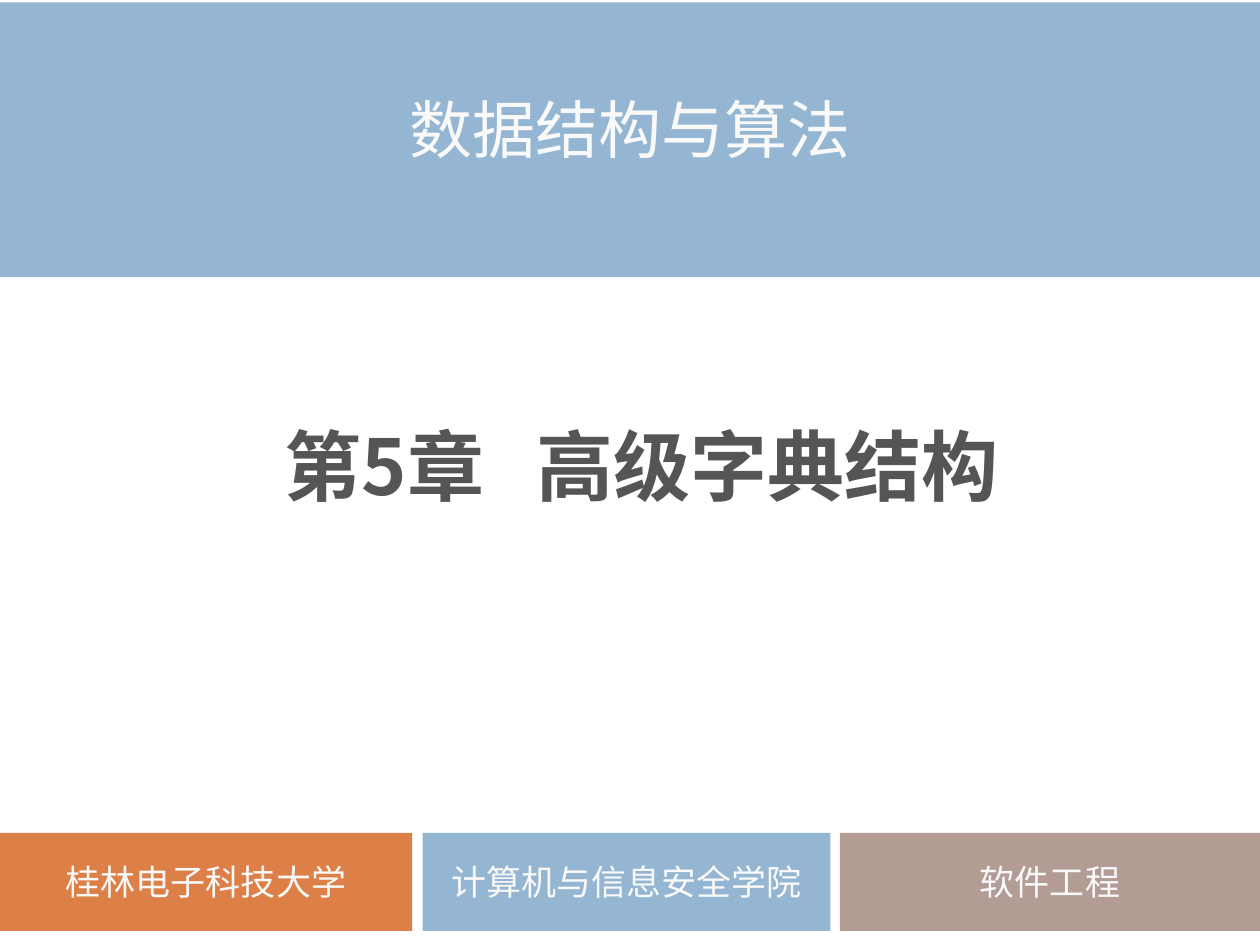
from dataclasses import dataclass

from lxml import etree
from pptx import Presentation
from pptx.dml.color import RGBColor
from pptx.enum import lang, shapes, text
from pptx.oxml.ns import qn
from pptx.util import Pt

HUES = {
    "blue": "94B6D2",
    "orange": "DD8047",
    "taupe": "B29C93",
    "pale": "F9F9F9",
    "gray": "555555",
}


@dataclass
class Band:
    label: str
    hue: str
    left: float
    top: float
    width: float
    height: float
    size: float = 20
    face: str = "Calibri"


BANDS = [
    Band("数据结构与算法", "blue", 0, 1.4, 720, 157, 36, "Times New Roman"),
    Band("桂林电子科技大学", "orange", 0, 476, 235.5, 56),
    Band("计算机与信息安全学院", "blue", 241.5, 476, 233, 56),
    Band("软件工程", "taupe", 480, 476, 240, 56),
]


def color(hue: str) -> RGBColor:
    return RGBColor.from_string(HUES[hue])


def style(run, face: str, size: float, hue: str, bold: bool = False) -> None:
    font = run.font
    font.name, font.size, font.bold = face, Pt(size), bold
    font.color.rgb = color(hue)
    font.language_id = lang.MSO_LANGUAGE_ID.SIMPLIFIED_CHINESE
    east = etree.Element(qn("a:ea"), typeface="Noto Sans CJK SC")
    font._element.find(qn("a:latin")).addnext(east)


def center(frame) -> None:
    frame.word_wrap = True
    frame.auto_size = text.MSO_AUTO_SIZE.NONE
    frame.vertical_anchor = text.MSO_ANCHOR.MIDDLE
    frame.paragraphs[0].alignment = text.PP_ALIGN.CENTER


def draw_band(slide, band: Band) -> None:
    box = slide.shapes.add_shape(
        shapes.MSO_SHAPE.RECTANGLE,
        Pt(band.left), Pt(band.top), Pt(band.width), Pt(band.height),
    )
    box.shadow.inherit = False
    box.fill.solid()
    box.fill.fore_color.rgb = color(band.hue)
    box.line.fill.background()
    frame = box.text_frame
    frame.text = band.label
    center(frame)
    if band.size > 30:
        frame.paragraphs[0].line_spacing = Pt(30)
    style(frame.paragraphs[0].runs[0], band.face, band.size, "pale")


def draw_title(slide) -> None:
    title = slide.shapes.title
    title.left, title.top = Pt(51), Pt(216)
    title.width, title.height = Pt(631.5), Pt(99.5)
    frame = title.text_frame
    frame.margin_left = frame.margin_right = 0
    frame.margin_top = frame.margin_bottom = 0
    center(frame)
    for part in ("第5章", " ", "高级字典结构"):
        run = frame.paragraphs[0].add_run()
        run.text = part
        style(run, "Noto Sans CJK SC", 44, "gray", True)
        if part == " ":
            run.font._element.set("spc", "2000")


def main() -> None:
    deck = Presentation()
    deck.slide_width, deck.slide_height = Pt(720), Pt(540)
    slide = deck.slides.add_slide(deck.slide_layouts[5])
    draw_title(slide)
    for band in BANDS:
        draw_band(slide, band)
    deck.save("out.pptx")


if __name__ == "__main__":
    main()
